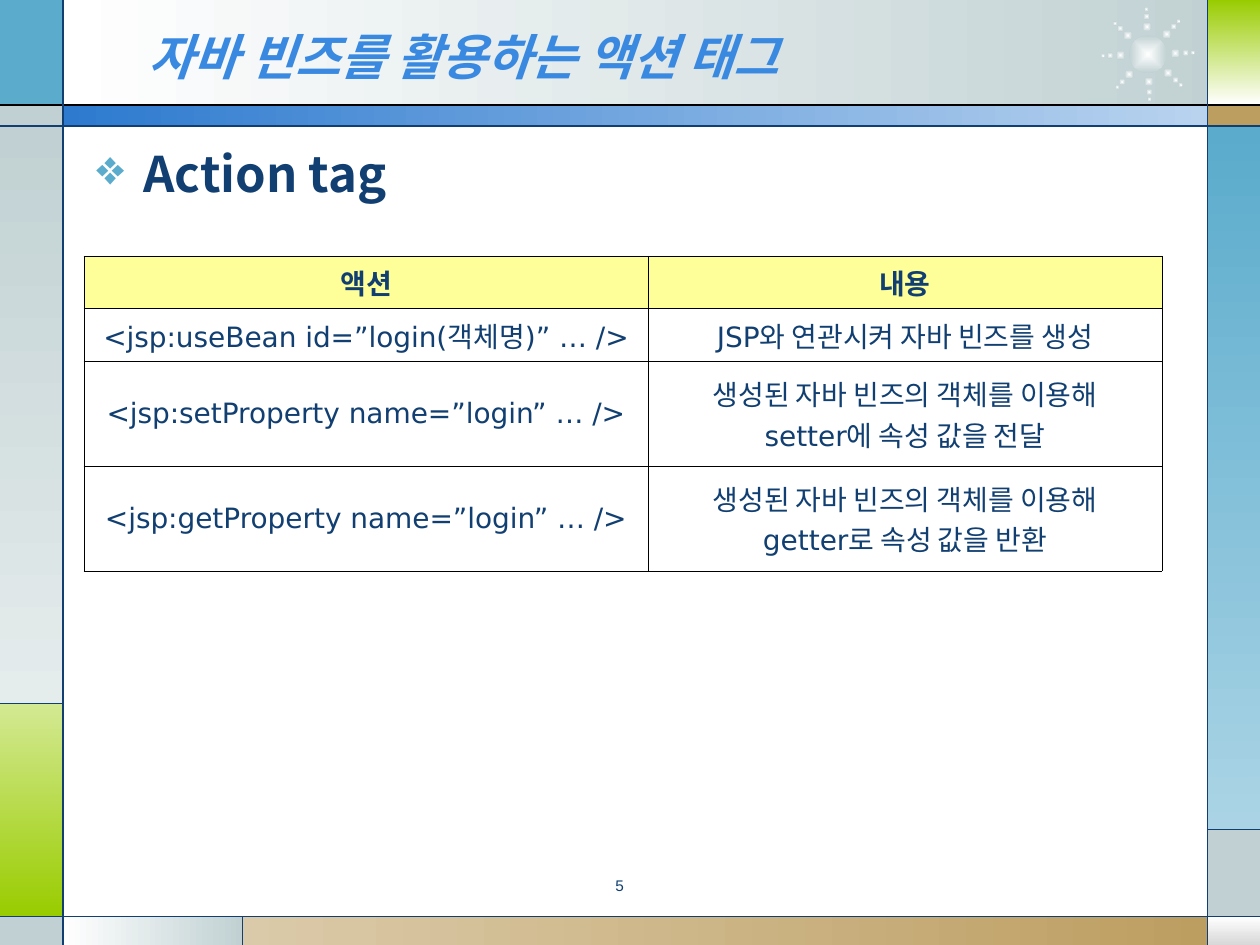
from dataclasses import dataclass
from math import cos, radians, sin

from lxml import etree
from pptx import Presentation
from pptx.dml.color import RGBColor
from pptx.enum import shapes, text
from pptx.oxml import ns
from pptx.util import Pt


@dataclass(frozen=True)
class Theme:
    navy: str = "113F71"
    title: str = "3989E1"
    teal: str = "5AABCC"
    grey: str = "C1D1D3"
    green: str = "99CC00"
    tan: str = "BD9E61"
    white: str = "FFFFFF"
    black: str = "000000"
    header: str = "FFFF99"
    korean: str = "Noto Sans CJK KR"
    latin: str = "DejaVu Sans"
    number: str = "Arial"
    heading_size: float = 28
    table_size: float = 16
    number_size: float = 8.8


THEME = Theme()
ACROSS, DOWN = 0, 90

# Frame edges, in points
WIDTH, HEIGHT = 720, 540
LEFT, RIGHT = 36, 690
HEADER, BAND, FOOTER = 60, 72, 523.6
LEFT_SPLIT, RIGHT_SPLIT, FOOTER_SPLIT = 402, 474, 138.4

# Left, top, right, bottom, colours, gradient direction
PANELS = [
    (LEFT, 0, 703, HEADER, (THEME.white, THEME.grey), ACROSS),
    (0, 0, LEFT, HEADER, (THEME.teal,), None),
    (0, HEADER, LEFT, BAND, (THEME.grey,), None),
    (0, BAND, LEFT, LEFT_SPLIT, (THEME.grey, "E5ECEC"), DOWN),
    (0, LEFT_SPLIT, LEFT, FOOTER, ("D4E993", THEME.green), DOWN),
    (0, FOOTER, LEFT, HEIGHT, (THEME.grey,), None),
    (LEFT, FOOTER, FOOTER_SPLIT, HEIGHT, (THEME.white, THEME.grey), ACROSS),
    (FOOTER_SPLIT, FOOTER, RIGHT, HEIGHT, ("DBCAA9", THEME.tan), ACROSS),
    (RIGHT, FOOTER, WIDTH, HEIGHT, (THEME.white, "D8D8D8"), DOWN),
    (RIGHT, RIGHT_SPLIT, WIDTH, FOOTER, (THEME.grey,), None),
    (RIGHT, BAND, WIDTH, RIGHT_SPLIT, (THEME.teal, "AAD4E5"), DOWN),
    (RIGHT, HEADER, WIDTH, BAND, (THEME.tan,), None),
    (RIGHT, 0, WIDTH, HEADER, (THEME.green, THEME.white), DOWN),
    (LEFT, HEADER, RIGHT, BAND, ("2D7ACF", "B9D3EF"), ACROSS),
]

RULES = [
    (0, HEADER, WIDTH, HEADER, THEME.black),
    (0, BAND, WIDTH, BAND, THEME.navy),
    (0, FOOTER, WIDTH, FOOTER, THEME.navy),
    (LEFT, 0, LEFT, HEIGHT, THEME.navy),
    (RIGHT, 0, RIGHT, HEIGHT, THEME.navy),
    (0, LEFT_SPLIT, LEFT, LEFT_SPLIT, THEME.navy),
    (FOOTER_SPLIT, FOOTER, FOOTER_SPLIT, HEIGHT, THEME.navy),
    (RIGHT, RIGHT_SPLIT, WIDTH, RIGHT_SPLIT, THEME.navy),
]

COLUMNS = [322.4, 293.6]
ROWS = [30, 30, 60, 60]
ACTIONS = [
    (["액션"], ["내용"]),
    (["<jsp:useBean id=”login(객체명)” … />"], ["JSP와 연관시켜 자바 빈즈를 생성"]),
    (["<jsp:setProperty name=”login” … />"],
     ["생성된 자바 빈즈의 객체를 이용해", "setter에 속성 값을 전달"]),
    (["<jsp:getProperty name=”login” … />"],
     ["생성된 자바 빈즈의 객체를 이용해", "getter로 속성 값을 반환"]),
]


def color(value):
    return RGBColor.from_string(value)


def add_xml(parent, tag, **attributes):
    return etree.SubElement(parent, ns.qn(tag), attributes)


def add_filled(page, kind, left, top, width, height, colors, angle=None):
    shape = page.shapes.add_shape(kind, Pt(left), Pt(top), Pt(width), Pt(height))
    shape.shadow.inherit = False
    shape.line.fill.background()
    if len(colors) == 1:
        shape.fill.solid()
        shape.fill.fore_color.rgb = color(colors[0])
    else:
        shape.fill.gradient()
        for stop, value in zip(shape.fill.gradient_stops, colors):
            stop.color.rgb = color(value)
        if angle is not None:
            shape.fill.gradient_angle = 360 - angle
    return shape


def add_glow(page, x, y, size):
    """A dot that fades from its centre outwards."""
    dot = add_filled(page, shapes.MSO_SHAPE.OVAL, x - size / 2, y - size / 2,
                     size, size, (THEME.white, THEME.grey))
    gradient = dot._element.spPr.find(ns.qn("a:gradFill"))
    gradient.remove(gradient.find(ns.qn("a:lin")))
    centre = add_xml(gradient, "a:path", path="rect")
    add_xml(centre, "a:fillToRect", l="50000", t="50000", r="50000", b="50000")


def add_starburst(page, x, y):
    add_glow(page, x, y, 21.6)
    for ray in range(8):
        angle = radians(45 * ray - 2)
        for distance, size in ((15.7, 5.2), (21.6, 3.6), (25.7, 2.5)):
            add_glow(page, x + distance * cos(angle), y + distance * sin(angle), size)


def add_rule(page, x1, y1, x2, y2, value):
    rule = page.shapes.add_connector(shapes.MSO_CONNECTOR.STRAIGHT,
                                     Pt(x1), Pt(y1), Pt(x2), Pt(y2))
    rule.line.color.rgb = color(value)
    rule.line.width = Pt(0.75)
    add_xml(rule._element.spPr, "a:effectLst")


def add_run(para, words, size, font, value=THEME.navy, bold=False, italic=False):
    span = para.add_run()
    span.text = words
    span.font.size = Pt(size)
    span.font.name = font
    span.font.bold = bold
    span.font.italic = italic
    span.font.color.rgb = color(value)
    add_xml(span.font._element, "a:ea", typeface=THEME.korean)


def add_box(page, left, top, width, height, anchor=text.MSO_ANCHOR.TOP):
    box = page.shapes.add_textbox(Pt(left), Pt(top), Pt(width), Pt(height))
    box.text_frame.word_wrap = True
    box.text_frame.vertical_anchor = anchor
    return box.text_frame.paragraphs[0]


def add_bullet(para, symbol, value, indent):
    properties = para._p.get_or_add_pPr()
    properties.set("marL", str(Pt(indent)))
    properties.set("indent", str(-Pt(indent)))
    add_xml(add_xml(properties, "a:buClr"), "a:srgbClr", val=value)
    add_xml(properties, "a:buChar", char=symbol)


def style_cell(cell, fill):
    cell.vertical_anchor = text.MSO_ANCHOR.MIDDLE
    cell.margin_left = cell.margin_right = Pt(5)
    cell.margin_top = cell.margin_bottom = Pt(3.6)
    properties = cell._tc.get_or_add_tcPr()
    for side in ("a:lnL", "a:lnR", "a:lnT", "a:lnB"):
        border = add_xml(properties, side, w=str(Pt(0.45)))
        add_xml(add_xml(border, "a:solidFill"), "a:srgbClr", val=THEME.black)
    if fill:
        cell.fill.solid()
        cell.fill.fore_color.rgb = color(fill)
    else:
        cell.fill.background()


def add_action_table(page, left, top):
    table = page.shapes.add_table(len(ROWS), len(COLUMNS), Pt(left), Pt(top),
                                  Pt(sum(COLUMNS)), Pt(sum(ROWS))).table
    table.horz_banding = False
    for column, width in zip(table.columns, COLUMNS):
        column.width = Pt(width)
    for index, (row, height) in enumerate(zip(table.rows, ROWS)):
        row.height = Pt(height)
        for cell, lines in zip(row.cells, ACTIONS[index]):
            style_cell(cell, THEME.header if index == 0 else None)
            frame = cell.text_frame
            for number, line in enumerate(lines):
                para = frame.add_paragraph() if number else frame.paragraphs[0]
                para.alignment = text.PP_ALIGN.CENTER
                add_run(para, line, THEME.table_size, THEME.latin, bold=index == 0)


def main():
    deck = Presentation()
    deck.slide_width, deck.slide_height = Pt(WIDTH), Pt(HEIGHT)
    page = deck.slides.add_slide(deck.slide_layouts[6])

    # Frame
    for left, top, right, bottom, colors, angle in PANELS:
        add_filled(page, shapes.MSO_SHAPE.RECTANGLE, left, top,
                   right - left, bottom - top, colors, angle)
    add_starburst(page, 656, 31)
    for rule in RULES:
        add_rule(page, *rule)

    # Title and heading
    title = add_box(page, 78, 9.5, 528, 44.5, text.MSO_ANCHOR.MIDDLE)
    add_run(title, "자바 빈즈를 활용하는 액션 태그", THEME.heading_size,
            THEME.korean, THEME.title, bold=True, italic=True)
    heading = add_box(page, 48, 78.5, 631.5, 405.5)
    add_bullet(heading, "❖", THEME.teal, 27)
    add_run(heading, "Action tag", THEME.heading_size, THEME.korean, bold=True)

    # Page number
    number = add_box(page, 270, 499, 168, 19.5)
    number.alignment = text.PP_ALIGN.CENTER
    number.line_spacing = 0.8
    add_run(number, "5", THEME.number_size, THEME.number)

    # Table of actions
    add_action_table(page, 48, 146.4)
    deck.save("out.pptx")


if __name__ == "__main__":
    main()
